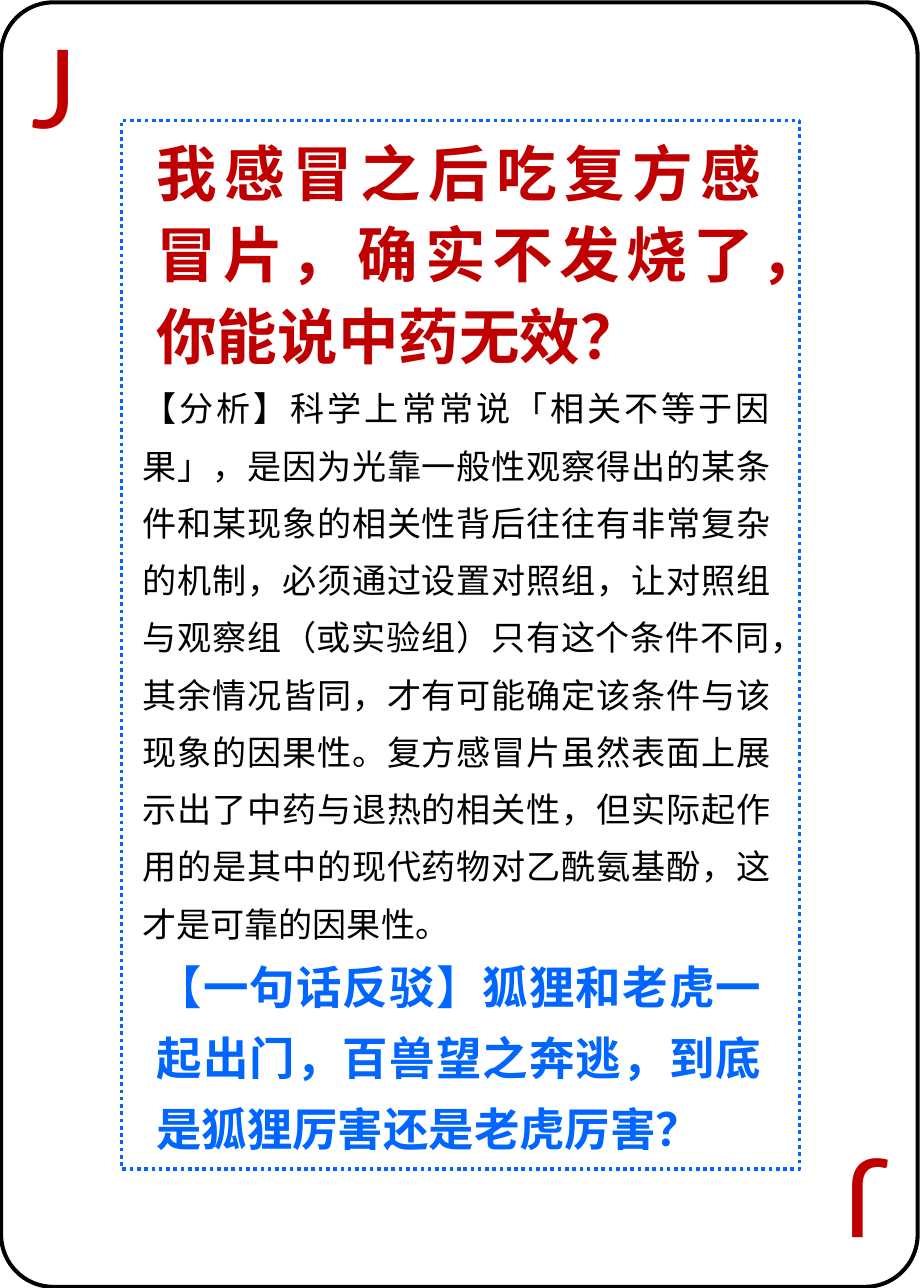
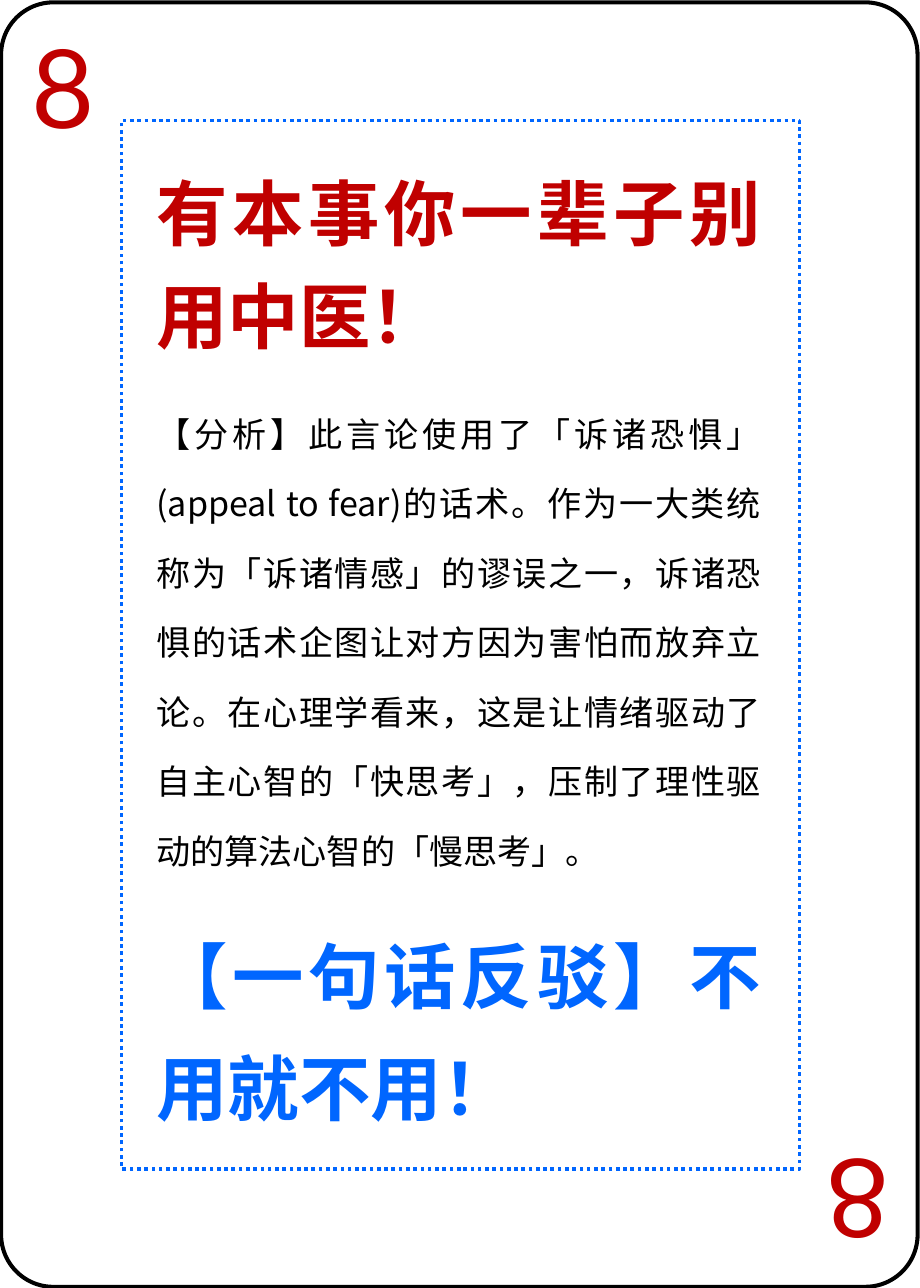
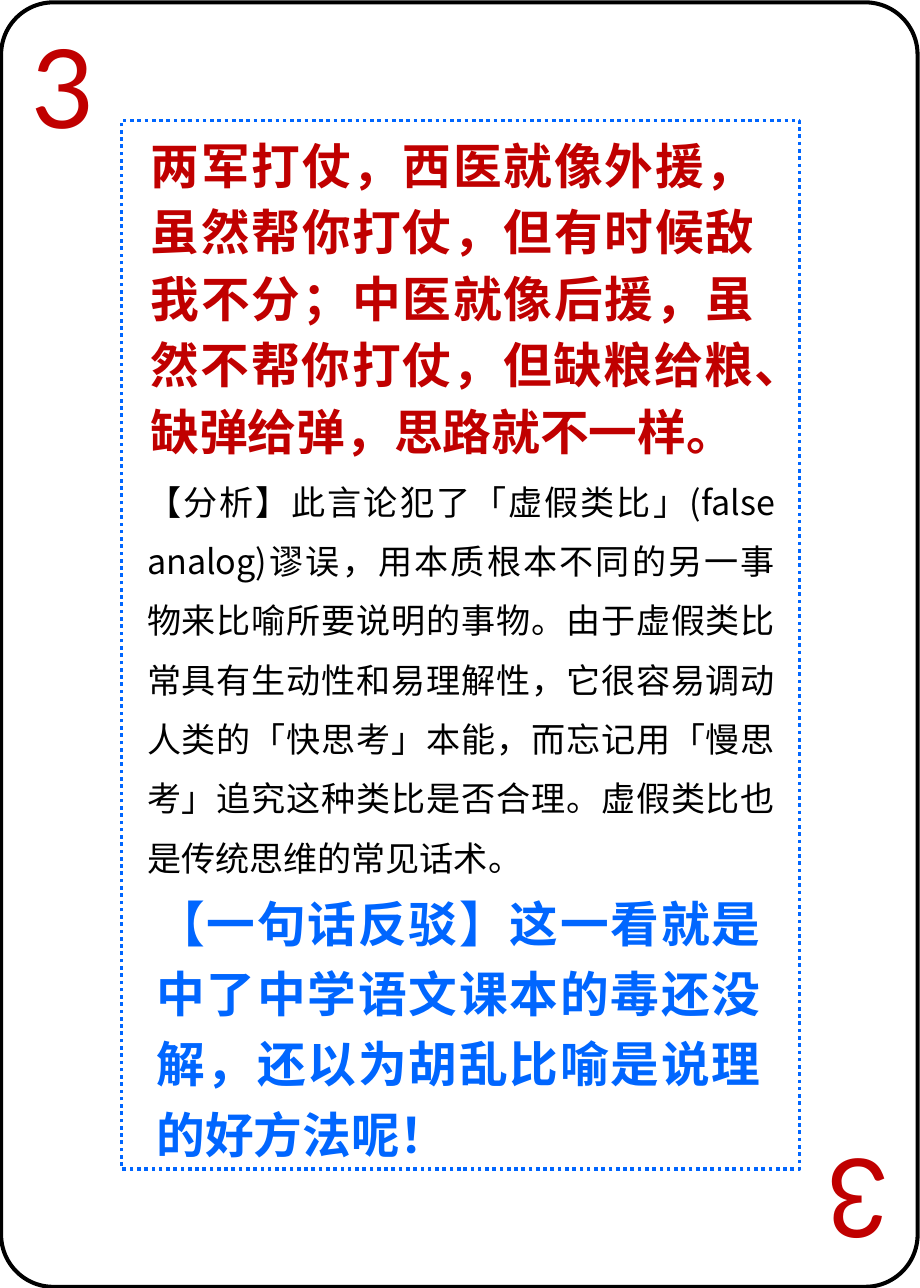
from lxml import etree
from pptx import Presentation
from pptx.dml.color import RGBColor
from pptx.enum.dml import MSO_LINE
from pptx.enum.lang import MSO_LANGUAGE_ID as Language
from pptx.enum.shapes import MSO_SHAPE as Shape
from pptx.enum.text import MSO_AUTO_SIZE as AutoSize, PP_ALIGN as Align
from pptx.oxml.ns import qn
from pptx.util import Inches, Pt

COLORS = {"red": "C00000", "blue": "0066FF", "black": "000000"}
RANK_FONT = "Lato"
TEXT_FONT = "Noto Sans CJK SC"

# Text styles shared by the cards
STYLES = {
    "rank": {"name": RANK_FONT, "size": Pt(67.2)},
    "claim": {"name": TEXT_FONT, "bold": True},
    "analysis": {"name": TEXT_FONT, "size": Pt(21)},
    "rebuttal": {"name": TEXT_FONT, "bold": True},
}
STYLE_COLORS = {"rank": "red", "claim": "red", "analysis": "black", "rebuttal": "blue"}

# Corner ranks: left, top, rotation
RANK_CORNERS = [(0.17, 0.12, 0), (6.95, 9.67, 180)]

# Outlines: preset, box, colour, line format
FRAME = (Shape.RECTANGLE, (1.04, 1.03, 5.8, 8.97), "blue",
         {"width": Pt(2.25), "dash_style": MSO_LINE.ROUND_DOT})
CARD_EDGE = (Shape.ROUNDED_RECTANGLE, (0.01, 0.02, 7.84, 10.99), "black",
             {"width": Pt(2.5)})

# Each card: rank, then style, box, line spacing, size (None keeps the style's), text
CARDS = [
    ("J", [
        ("claim", (1.24, 1.04, 5.37, 2.2), 1.12, 37.3,
         "我感冒之后吃复方感冒片，确实不发烧了，你能说中药无效？"),
        ("analysis", (1.12, 3.13, 5.57, 5.06), 1.4, None,
         "【分析】科学上常常说「相关不等于因果」，是因为光靠一般性观察得出的某条件和某现象的"
         "相关性背后往往有非常复杂的机制，必须通过设置对照组，让对照组与观察组（或实验组）"
         "只有这个条件不同，其余情况皆同，才有可能确定该条件与该现象的因果性。复方感冒片虽然"
         "表面上展示出了中药与退热的相关性，但实际起作用的是其中的现代药物对乙酰氨基酚，"
         "这才是可靠的因果性。"),
        ("rebuttal", (1.24, 8.02, 5.37, 1.88), 1.3, 28,
         "【一句话反驳】狐狸和老虎一起出门，百兽望之奔逃，到底是狐狸厉害还是老虎厉害？"),
    ]),
    ("8", [
        ("claim", (1.24, 1.25, 5.37, 1.8), 1.2, 44, "有本事你一辈子别用中医！"),
        ("analysis", (1.24, 3.24, 5.37, 4.22), 1.7, None,
         "【分析】此言论使用了「诉诸恐惧」(appeal to fear)的话术。作为一大类统称为"
         "「诉诸情感」的谬误之一，诉诸恐惧的话术企图让对方因为害怕而放弃立论。在心理学看来，"
         "这是让情绪驱动了自主心智的「快思考」，压制了理性驱动的算法心智的「慢思考」。"),
        ("rebuttal", (1.24, 7.71, 5.37, 1.93), 1.3, 44, "【一句话反驳】不用就不用！"),
    ]),
    ("3", [
        ("claim", (1.19, 1.04, 5.37, 2.93), 1.14, 30,
         "两军打仗，西医就像外援，虽然帮你打仗，但有时候敌我不分；中医就像后援，"
         "虽然不帮你打仗，但缺粮给粮、缺弹给弹，思路就不一样。"),
        ("analysis", (1.16, 3.91, 5.57, 3.75), 1.45, None,
         "【分析】此言论犯了「虚假类比」(false analog)谬误，用本质根本不同的另一事物来比喻"
         "所要说明的事物。由于虚假类比常具有生动性和易理解性，它很容易调动人类的「快思考」"
         "本能，而忘记用「慢思考」追究这种类比是否合理。虚假类比也是传统思维的常见话术。"),
        ("rebuttal", (1.24, 7.5, 5.37, 2.47), 1.2, 30,
         "【一句话反驳】这一看就是中了中学语文课本的毒还没解，还以为胡乱比喻是说理的好方法呢！"),
    ]),
]


def add_text(slide, style, box, text, size=None, **paragraph_format):
    shape = slide.shapes.add_textbox(*map(Inches, box))
    frame = shape.text_frame
    frame.word_wrap = True
    frame.auto_size = AutoSize.SHAPE_TO_FIT_TEXT
    paragraph = frame.paragraphs[0]
    for name, value in paragraph_format.items():
        setattr(paragraph, name, value)
    run = paragraph.add_run()
    run.text = text
    font_format = dict(STYLES[style], language_id=Language.SIMPLIFIED_CHINESE)
    if size:
        font_format["size"] = Pt(size)
    for name, value in font_format.items():
        setattr(run.font, name, value)
    run.font.color.rgb = RGBColor.from_string(COLORS[STYLE_COLORS[style]])
    # Chinese characters take the East Asian typeface
    latin = run.font._element.find(qn("a:latin"))
    east_asian = etree.Element(qn("a:ea"), typeface=font_format["name"])
    latin.addnext(east_asian)
    return shape


def add_outline(slide, preset, box, color, line_format):
    shape = slide.shapes.add_shape(preset, *map(Inches, box))
    shape.shadow.inherit = False
    shape.fill.background()
    shape.line.color.rgb = RGBColor.from_string(COLORS[color])
    for name, value in line_format.items():
        setattr(shape.line, name, value)
    return shape


presentation = Presentation()
presentation.slide_width = Inches(7.87)
presentation.slide_height = Inches(11.02)

for rank, texts in CARDS:
    slide = presentation.slides.add_slide(presentation.slide_layouts[6])

    # Rank in two opposite corners
    for left, top, rotation in RANK_CORNERS:
        corner = add_text(slide, "rank", (left, top, 0.76, 1.23), rank)
        corner.rotation = rotation

    # Dotted frame with claim, analysis and rebuttal
    add_outline(slide, *FRAME)
    for style, box, spacing, size, text in texts:
        add_text(slide, style, box, text, size,
                 alignment=Align.JUSTIFY, line_spacing=spacing)

    # Rounded card edge
    card_edge = add_outline(slide, *CARD_EDGE)
    card_edge.adjustments[0] = 0.057

presentation.save("out.pptx")
